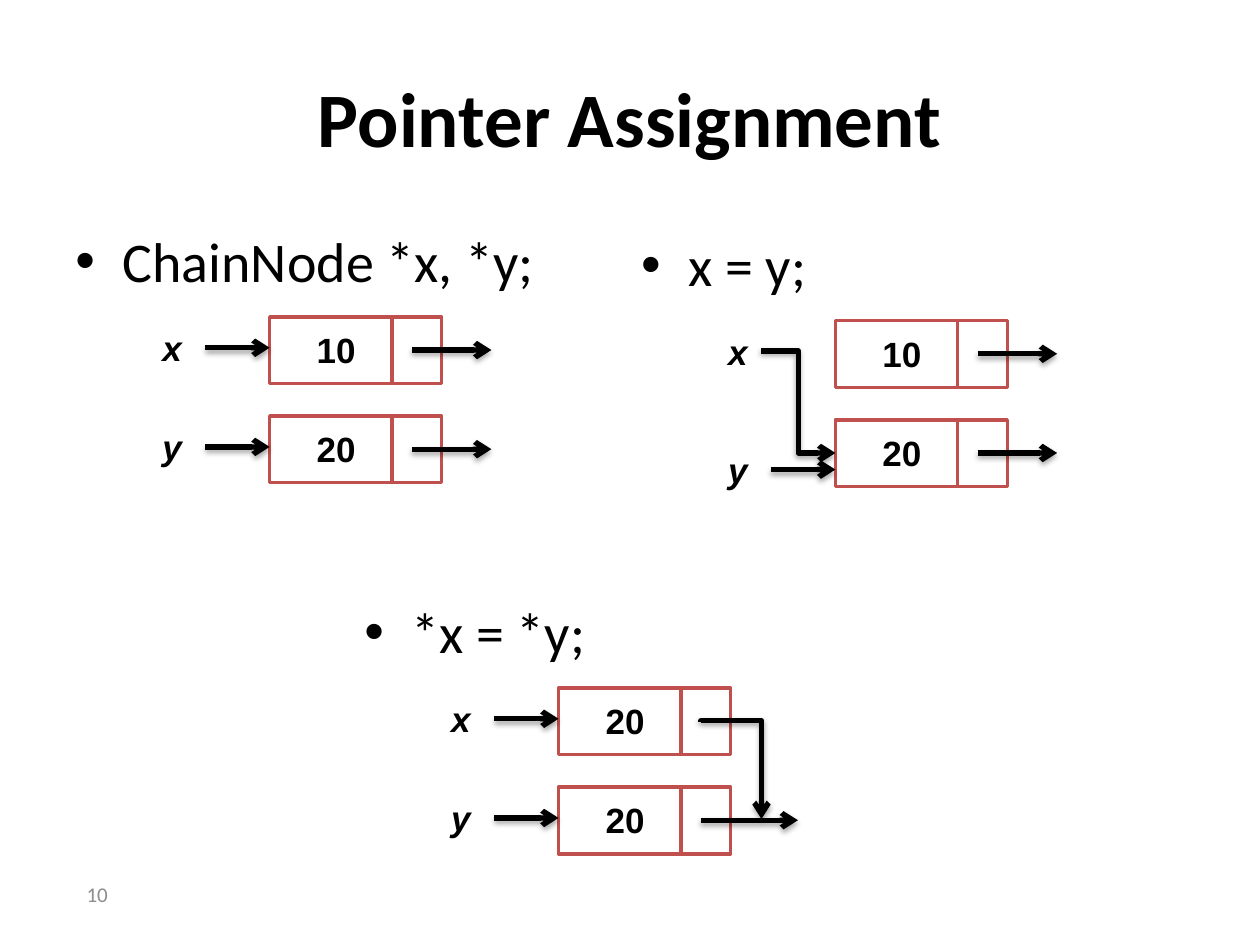
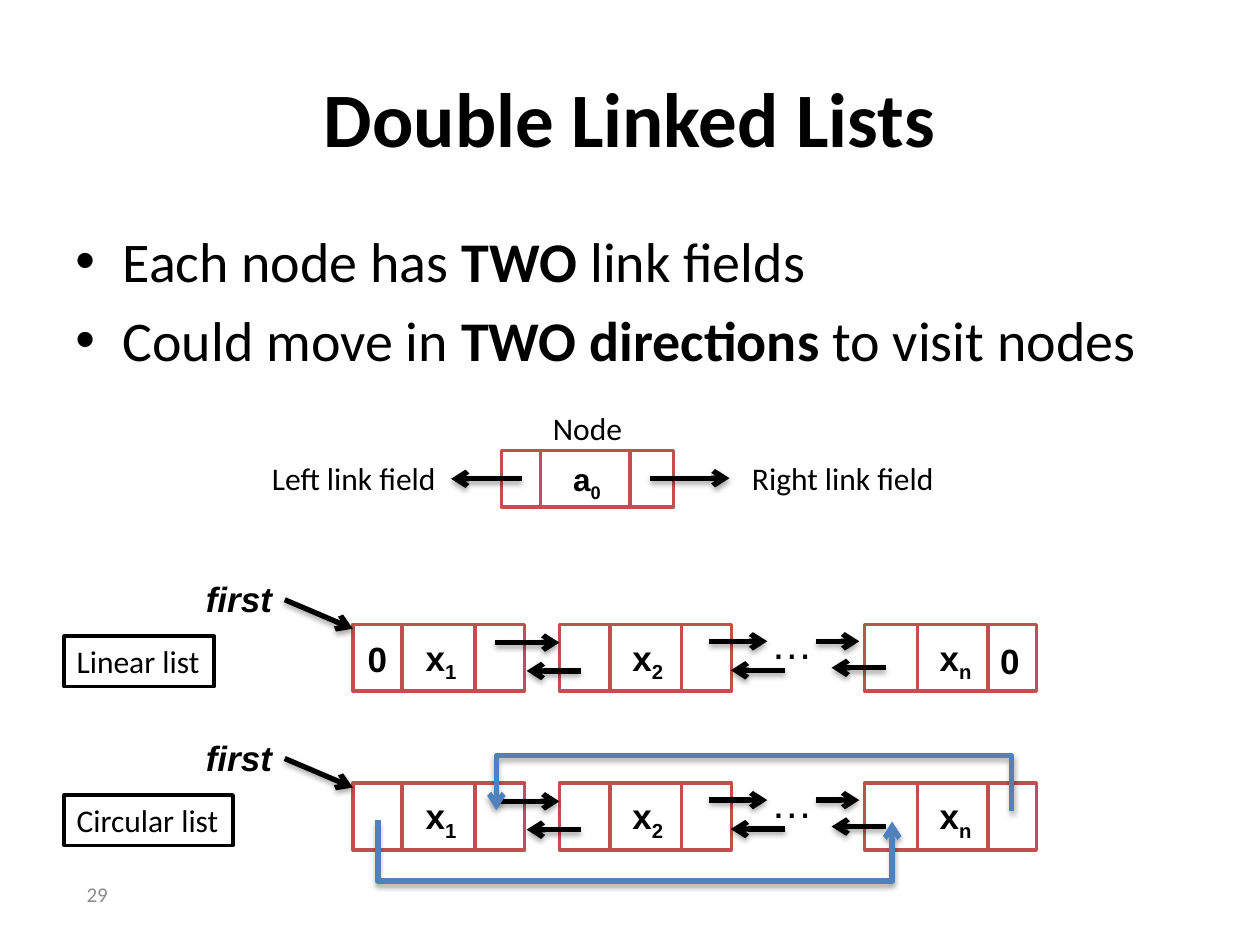
from lxml import etree
from pptx import Presentation
from pptx import util as u
from pptx.dml.color import RGBColor
from pptx.enum import shapes, text
from pptx.oxml import ns

BLACK, WHITE, GREY = "000000", "FFFFFF", "8C8C8C"
RED, BLUE = "C0504D", "4F81BD"
NODE_WIDTH = 13.65

presentation = Presentation()
presentation.slide_width, presentation.slide_height = u.Inches(10), u.Inches(7.5)
CELL = presentation.slide_width / 100  # the grid has 100 columns and 75 rows


def write(slide, content, box, shape=None, font="Calibri", size=18, color=BLACK, bold=False,
          italic=False, mark="bold", align="LEFT", anchor="TOP", wrap=False, bullet=False):
    """Write text in a box of grid cells; parts between bars are bold or subscript."""
    shape = shape or slide.shapes.add_textbox(0, 0, 0, 0)
    shape.left, shape.top, shape.width, shape.height = [int(cells * CELL) for cells in box]
    frame = shape.text_frame
    frame.word_wrap = wrap
    frame.vertical_anchor = getattr(text.MSO_ANCHOR, anchor)
    for number, line in enumerate(content.split("\n")):
        paragraph = frame.add_paragraph() if number else frame.paragraphs[0]
        paragraph.alignment = getattr(text.PP_ALIGN, align)
        if number:
            paragraph.space_before = u.Pt(size * 0.2)
        if bullet:
            properties = paragraph._p.get_or_add_pPr()
            properties.set("marL", str(u.Pt(27)))
            properties.set("indent", str(-u.Pt(27)))
            etree.SubElement(properties, ns.qn("a:buFont"), typeface="Arial")
            etree.SubElement(properties, ns.qn("a:buChar"), char="•")
        for part, words in enumerate(line.split("|")):
            if not words:
                continue
            marked = part % 2 == 1
            run = paragraph.add_run()
            run.text = words
            run.font.name, run.font.size = font, u.Pt(size)
            run.font.bold = bold or (marked and mark == "bold")
            run.font.italic = italic
            run.font.color.rgb = RGBColor.from_string(color)
            if marked and mark == "subscript":
                run.font._element.set("baseline", "-25000")


def draw_line(slide, start, end, color=BLACK, width=3, arrow=True, elbow=False, turn=None):
    """Draw a line; an elbow with a turn leaves vertically and crosses at that row."""
    (x1, y1), (x2, y2) = start, end
    if turn is not None:  # the box is laid on its side, then rotated by 270 degrees
        center_x, center_y = (x1 + x2) / 2, (y1 + y2) / 2
        half_x, half_y = (x1 - x2) / 2, (y1 - y2) / 2
        x1, y1 = center_x - half_y, center_y + half_x
        x2, y2 = center_x + half_y, center_y - half_x
    bent = elbow or turn is not None
    kind = shapes.MSO_CONNECTOR.ELBOW if bent else shapes.MSO_CONNECTOR.STRAIGHT
    line = slide.shapes.add_connector(kind, *[int(c * CELL) for c in (x1, y1, x2, y2)])
    properties = line._element.spPr
    if turn is not None:
        properties.find(ns.qn("a:xfrm")).set("rot", str(270 * 60000))
        share = (turn - start[1]) / (end[1] - start[1])
        guides = properties.find(ns.qn("a:prstGeom")).find(ns.qn("a:avLst"))
        etree.SubElement(guides, ns.qn("a:gd"), name="adj1", fmla=f"val {round(share * 100000)}")
    line.line.width = u.Pt(width)
    line.line.color.rgb = RGBColor.from_string(color)
    effects = etree.SubElement(properties, ns.qn("a:effectLst"))
    if arrow:
        etree.SubElement(line.line._ln, ns.qn("a:tailEnd"), type="arrow")
        shadow = etree.SubElement(effects, ns.qn("a:outerShdw"), blurRad="40000", dist="23000",
                                  dir="5400000", rotWithShape="0")
        shade = etree.SubElement(shadow, ns.qn("a:srgbClr"), val=BLACK)
        etree.SubElement(shade, ns.qn("a:alpha"), val="35000")


# Slides with their titles and numbers
slides = []
for title, page in (("Pointer Assignment", "10"), ("Double Linked Lists", "29")):
    slide = presentation.slides.add_slide(presentation.slide_layouts[5])
    write(slide, title, (5, 3, 90, 12.5), shape=slide.shapes.title, size=44, bold=True,
          align="CENTER", anchor="MIDDLE", wrap=True)
    write(slide, page, (1, 69, 8.55, 4), size=12, color=GREY, align="RIGHT", anchor="MIDDLE")
    slides.append(slide)
pointers, doubles = slides

# Layout of the panels, the lists and all their nodes
ROW_GAP = 7.87
panels = [  # left, top, statement, values
    (21.4, 25.15, "ChainNode *x, *y;", ("10", "20")),
    (66.3, 25.45, "x = y;", ("10", "20")),
    (44.33, 54.6, "*x = *y;", ("20", "20")),
]
lists = [(49.55, "Linear list", 11.9), (62.15, "Circular list", 13.4)]  # top, name, width
list_nodes = [  # left, dividers, label, label offset
    (28, (3.9, 9.7), "x|1|", 4.8),
    (44.4, (4, 9.7), "x|2|", 4.8),
    (68.6, (4.2, 9.8), "x|n|", 5),
]
nodes = [(pointers, left, top + row * ROW_GAP, 5.3, (9.7,), value, 2.75, 20)
         for left, top, _, values in panels for row, value in enumerate(values)]
nodes += [(doubles, left, top, 5.3, dividers, label, offset, 20)
          for top, _, _ in lists for left, dividers, label, offset in list_nodes]
nodes.append((doubles, 39.8, 35.75, 4.5, (3.1, 10.2), "a|0|", 4.7, 18))

# Frames of the nodes, their dividers and labels
for slide, left, top, height, dividers, label, offset, size in nodes:
    box = [int(c * CELL) for c in (left, top, NODE_WIDTH, height)]
    frame = slide.shapes.add_shape(shapes.MSO_SHAPE.RECTANGLE, *box)
    frame.shadow.inherit = False
    frame.fill.solid()
    frame.fill.fore_color.rgb = RGBColor.from_string(WHITE)
    frame.line.color.rgb = RGBColor.from_string(RED)
    frame.line.width = u.Pt(2)
    for divider in dividers:
        draw_line(slide, (left + divider, top), (left + divider, top + height),
                  color=RED, width=2, arrow=False)
    label_height = size * 0.22
    write(slide, label, (left + offset, top + (height - label_height) / 2, 5.6, label_height),
          font="Arial", size=size, bold=True, mark="subscript")

# Pointer assignment: statements, variables and arrows
for number, (left, top, statement, _) in enumerate(panels):
    write(pointers, statement, (left - 16.4, top - 7.65, 41.1, 23.1), size=32,
          wrap=True, bullet=True)
    for row, variable in enumerate("xy"):
        y = top + row * ROW_GAP
        shared = number == 1 and row == 1  # y meets the elbow of x at one node
        drop = 1.5 if shared else 0
        write(pointers, variable, (left - 9.5, y + 0.25 + drop, 3.6, 4.4), font="Arial",
              size=20, bold=True, italic=True)
        if number == 1 and row == 0:
            draw_line(pointers, (left - 5.9, y + 2.4), (left, y + 10.5), elbow=True)
        else:
            draw_line(pointers, (left - 5.1, y + 2.45 + drop), (left, y + 2.45 + drop))
        if number == 2 and row == 0:
            draw_line(pointers, (left + 11.3, y + 2.7), (left + 16.1, y + 10.4), turn=y + 2.6)
        else:
            reach = 19 if number == 2 else 17.6
            draw_line(pointers, (left + 11.3, y + 2.63), (left + reach, y + 2.63))

# Double linked lists: statements and the single node
write(doubles, "Each node has |TWO| link fields\nCould move in |TWO directions |to visit nodes",
      (5, 17.5, 90, 20), size=32, wrap=True, bullet=True)
write(doubles, "Node", (42.9, 32, 7.6, 4))
write(doubles, "Left link field", (20.6, 35.95, 15.3, 4))
write(doubles, "Right link field", (58.7, 35.95, 16.6, 4))
draw_line(doubles, (51.6, 37.95), (57.9, 37.95))
draw_line(doubles, (41.4, 38), (35.8, 38))

# Double linked lists: names, entry points and links between nodes
links = [  # from column, to column, row below the top
    (39.3, 44.4, 1.45), (56.3, 60.9, 1.35), (64.8, 68.2, 1.35),
    (46.1, 41.8, 3.7), (62.3, 58, 3.65), (70.3, 66, 3.45),
]
for top, name, width in lists:
    label = doubles.shapes.add_shape(shapes.MSO_SHAPE.RECTANGLE, 0, 0, 0, 0)
    label.shadow.inherit = False
    label.fill.solid()
    label.fill.fore_color.rgb = RGBColor.from_string(WHITE)
    label.line.color.rgb = RGBColor.from_string(BLACK)
    label.line.width = u.Pt(2)
    write(doubles, name, (5.1, top + 0.95, width, 4), shape=label)
    write(doubles, "first", (15.35, top - 4.2, 7.3, 4.4), font="Arial", size=20,
          bold=True, italic=True)
    draw_line(doubles, (22.6, top - 1.95), (28, top + 0.35))
    write(doubles, "…", (60.2, top - 1.05, 5.4, 5), font="Arial", size=24)
    for start, end, drop in links:
        draw_line(doubles, (start, top + drop), (end, top + drop))

# Ends of the linear list and returning links of the circular one
linear, circular = (top for top, _, _ in lists)
for left, drop in ((28.2, 0.55), (78.4, 0.75)):
    write(doubles, "0", (left, linear + drop, 3.6, 4.4), font="Arial", size=20, bold=True)
draw_line(doubles, (80.3, circular + 2.25), (39.4, circular + 2.15), color=BLUE,
          turn=circular - 2.25)
draw_line(doubles, (30, circular + 2.95), (70.8, circular + 3.05), color=BLUE,
          turn=circular + 7.85)

presentation.save("out.pptx")
